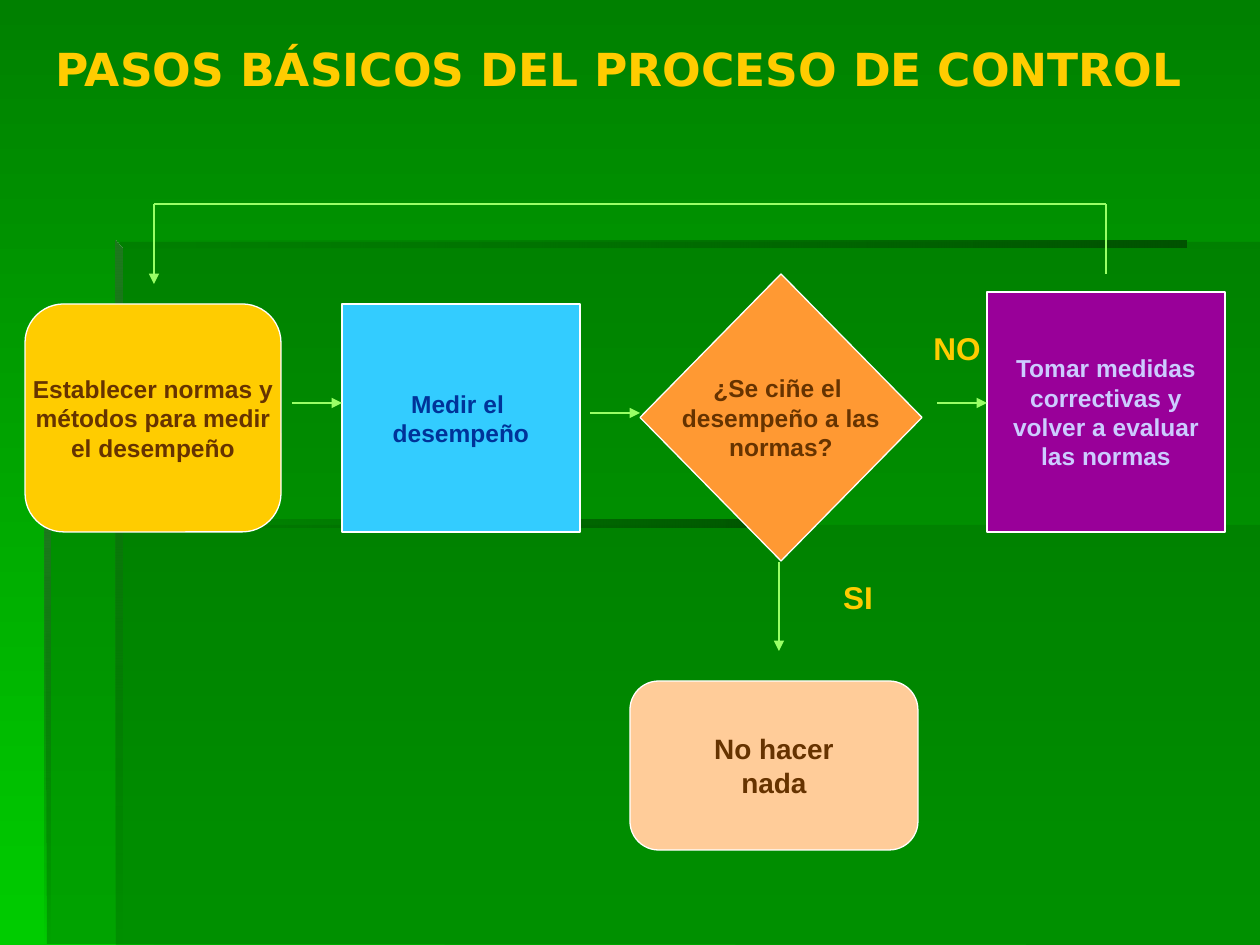
from lxml import etree
from pptx import Presentation
from pptx import util as u
from pptx.dml.color import RGBColor
from pptx.enum import shapes, text
from pptx.oxml.ns import qn

EMU_PER_PX = 914400 / 126
COLORS = {
    "bg_top": "008000", "bg_bottom": "00CC00", "panel": "006600",
    "edge_dark": "005300", "edge_light": "1E781E",
    "gold": "FFCC00", "sky": "33CCFF", "orange": "FF9933",
    "purple": "990099", "peach": "FFCC99", "white": "FFFFFF",
    "brown": "663300", "navy": "003399", "lilac": "CCCCFF", "arrow": "99FF66",
}


def px(*lengths):
    return [u.Emu(round(n * EMU_PER_PX)) for n in lengths]


def rgb(name):
    return RGBColor.from_string(COLORS[name])


def set_alpha(color_element, percent):
    etree.SubElement(color_element, qn("a:alpha"), val=str(percent * 1000))


def fill_gradient(fill, start, end, angle):
    fill.gradient()
    fill.gradient_angle = angle
    for stop, name in zip(fill.gradient_stops, (start, end)):
        stop.color.rgb = rgb(name)


def write(frame, content, size, color, font="Arial", wrap=True,
          anchor=text.MSO_ANCHOR.TOP):
    """Write one centred bold paragraph for each line of the content."""
    frame.word_wrap = wrap
    frame.auto_size = text.MSO_AUTO_SIZE.NONE
    frame.vertical_anchor = anchor
    frame.margin_left = frame.margin_right = u.Inches(0.1)
    frame.margin_top = frame.margin_bottom = u.Inches(0.05)
    for i, line in enumerate(content.split("\n")):
        paragraph = frame.add_paragraph() if i else frame.paragraphs[0]
        paragraph.alignment = text.PP_ALIGN.CENTER
        run = paragraph.add_run()
        run.text = line
        run.font.name = font
        run.font.size = u.Pt(size)
        run.font.bold = True
        run.font.color.rgb = rgb(color)


def add_outline(slide, points):
    builder = slide.shapes.build_freeform(*points[0], scale=EMU_PER_PX)
    builder.add_line_segments(points[1:], close=True)
    outline = builder.convert_to_shape()
    outline.shadow.inherit = False
    outline.line.fill.background()
    return outline


def add_panel(slide, points, opacity):
    panel = add_outline(slide, points)
    panel.fill.solid()
    panel.fill.fore_color.rgb = rgb("panel")
    set_alpha(panel.fill._xPr.find(".//" + qn("a:srgbClr")), opacity)


def add_edge(slide, points, color, angle):
    """Add a thin edge that fades out to full transparency."""
    edge = add_outline(slide, points)
    fill_gradient(edge.fill, color, "panel", angle)
    set_alpha(edge.fill._xPr.findall(".//" + qn("a:srgbClr"))[-1], 0)


def add_step(slide, kind, box, fill, content, color, size=14):
    step = slide.shapes.add_shape(kind, *px(*box))
    step.shadow.inherit = False
    if kind == shapes.MSO_SHAPE.ROUNDED_RECTANGLE:
        step.adjustments[0] = 0.17
    step.fill.solid()
    step.fill.fore_color.rgb = rgb(fill)
    step.line.color.rgb = rgb("white")
    step.line.width = u.Pt(0.75)
    write(step.text_frame, content, size, color, wrap=False,
          anchor=text.MSO_ANCHOR.MIDDLE)


def add_answer(slide, box, content):
    answer = slide.shapes.add_textbox(*px(*box))
    write(answer.text_frame, content, 18, "gold")


def add_flow(slide, ends, arrow=True):
    flow = slide.shapes.add_connector(shapes.MSO_CONNECTOR.STRAIGHT, *px(*ends))
    flow.line.color.rgb = rgb("arrow")
    flow.line.width = u.Pt(1.5)
    if arrow:
        etree.SubElement(flow.line._get_or_add_ln(), qn("a:tailEnd"), type="triangle")
    etree.SubElement(flow._element.spPr, qn("a:effectLst"))


def add_backdrop(slide):
    fill_gradient(slide.background.fill, "bg_top", "bg_bottom", 270)
    add_panel(slide, [(120, 242), (118, 524), (45, 524), (47, 944),
                      (1260, 945), (1260, 242)], 40)
    add_panel(slide, [(116, 525), (116, 945), (1260, 945), (1260, 525)], 30)
    for left, top, right in ((44, 520, 800), (116, 241, 1187)):
        add_edge(slide, [(left, top), (left, top + 7), (right, top + 7),
                         (right, top)], "edge_dark", 180)
    for left, top, bottom in ((44, 520, 949), (116, 241, 947)):
        add_edge(slide, [(left, top), (left, bottom), (left + 6, bottom),
                         (left + 6, top + 8)], "edge_light", 270)


def main():
    deck = Presentation()
    deck.slide_width, deck.slide_height = px(1260, 945)
    slide = deck.slides.add_slide(deck.slide_layouts[5])
    add_backdrop(slide)

    # Title
    title = slide.shapes.title
    title.left, title.top, title.width, title.height = px(34, 35, 1171, 68)
    write(title.text_frame, "PASOS BÁSICOS DEL PROCESO DE CONTROL", 26, "gold",
          font="DejaVu Sans")

    # Steps of the process
    rounded = shapes.MSO_SHAPE.ROUNDED_RECTANGLE
    square = shapes.MSO_SHAPE.RECTANGLE
    add_step(slide, rounded, (25, 304, 256, 228), "gold",
             "Establecer normas y\nmétodos para medir\nel desempeño", "brown")
    add_step(slide, square, (342, 304, 238, 228), "sky",
             "Medir el \ndesempeño", "navy")
    add_step(slide, shapes.MSO_SHAPE.DIAMOND, (640, 274, 282, 287), "orange",
             "¿Se ciñe el \ndesempeño a las\nnormas?", "brown")
    add_step(slide, square, (987, 292, 238, 240), "purple",
             "Tomar medidas\ncorrectivas y\nvolver a evaluar\nlas normas", "lilac")
    add_step(slide, rounded, (630, 681, 288, 169), "peach",
             "No hacer\nnada", "brown", size=16)

    # Answers to the decision
    add_answer(slide, (917, 323, 80, 50), "NO")
    add_answer(slide, (818, 572, 80, 50), "SI")

    # Arrows between steps
    for ends in ((292, 403, 342, 403), (590, 413, 640, 413),
                 (937, 403, 987, 403), (779, 562, 779, 651)):
        add_flow(slide, ends)

    # Feedback loop to the first step
    add_flow(slide, (1106, 274, 1106, 204), arrow=False)
    add_flow(slide, (1106, 204, 154, 204), arrow=False)
    add_flow(slide, (154, 204, 154, 284))

    deck.save("out.pptx")


if __name__ == "__main__":
    main()
